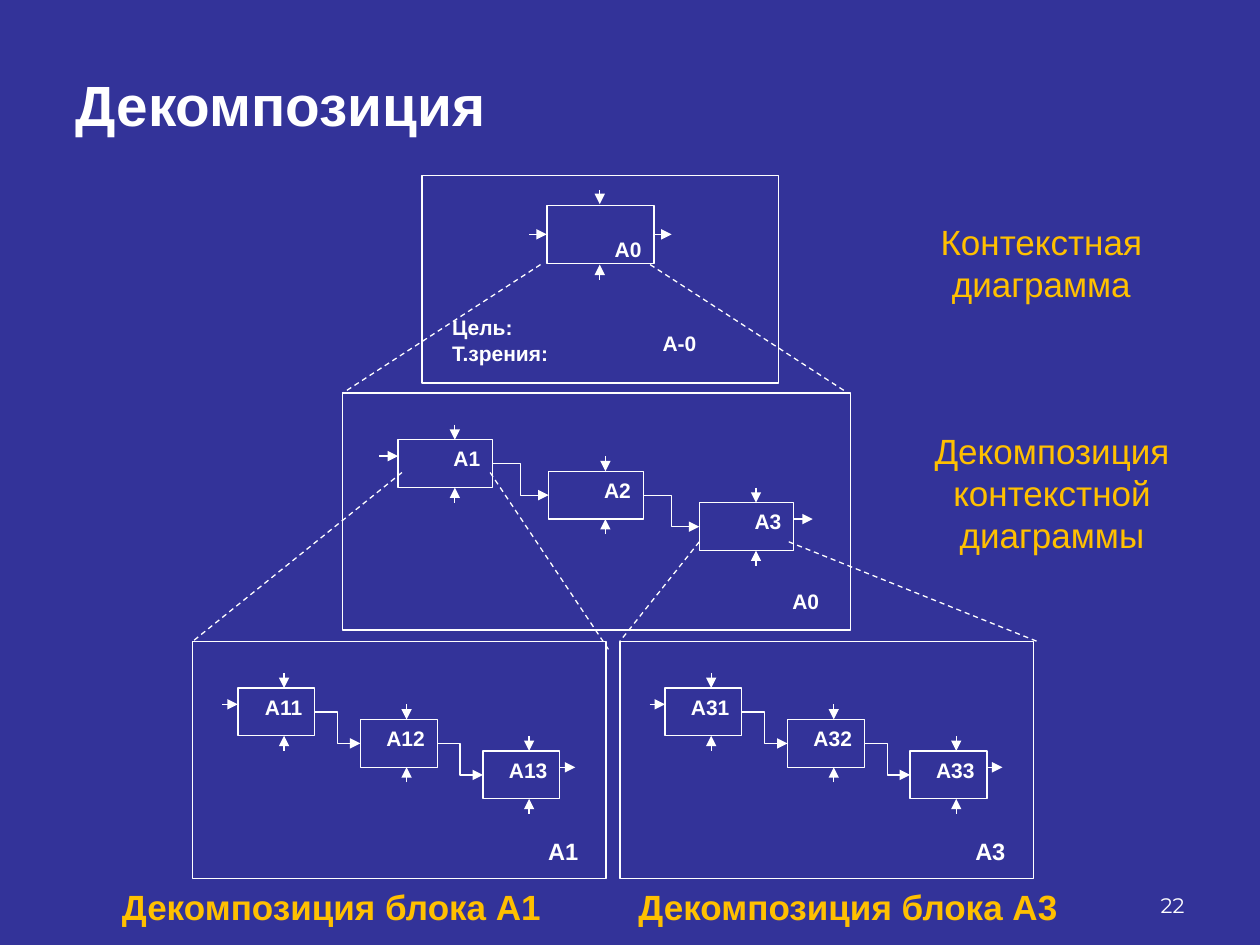
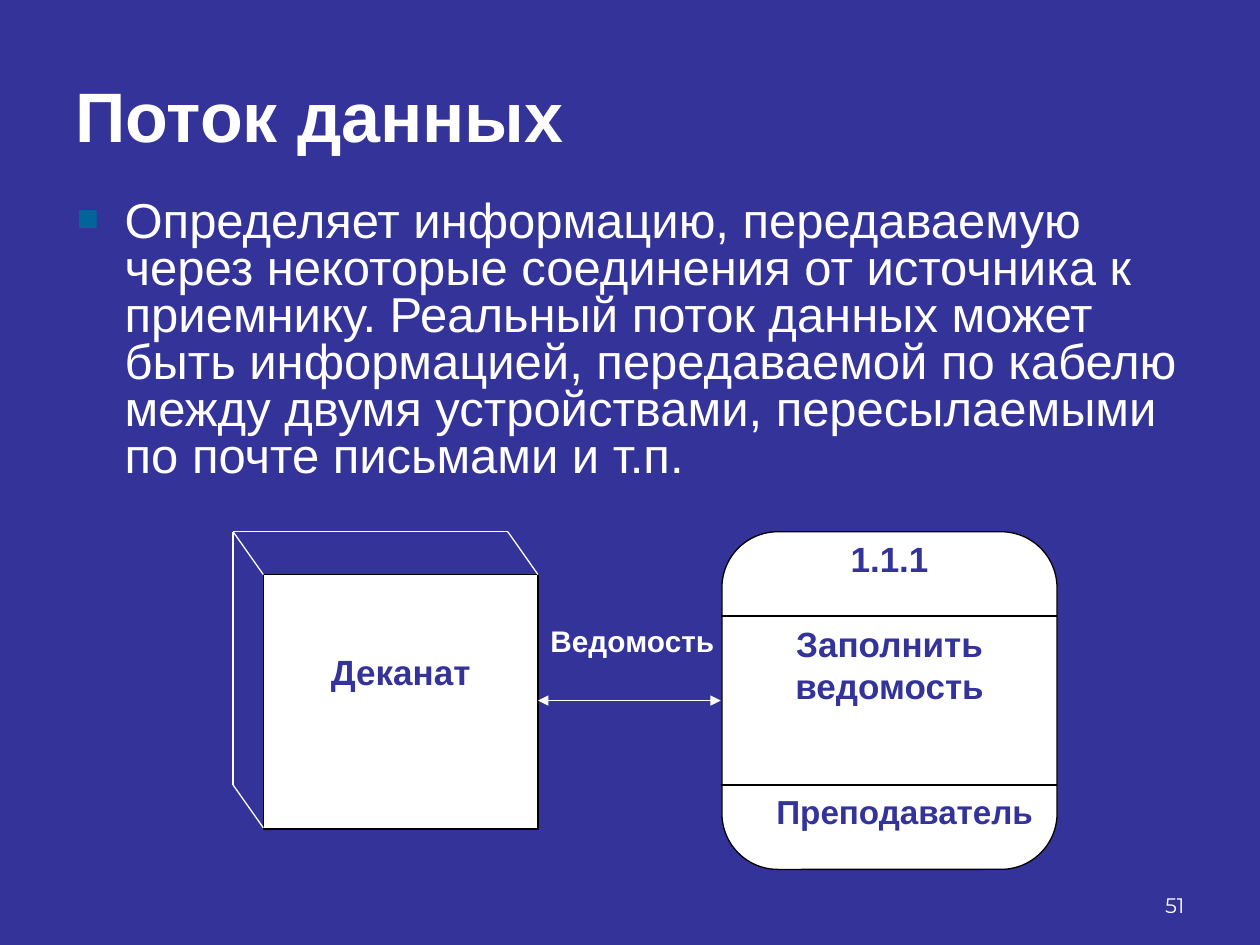
from dataclasses import dataclass
from itertools import pairwise

from lxml.etree import SubElement as Sub
from pptx import Presentation
from pptx.dml.color import RGBColor as Rgb
from pptx.enum.dml import MSO_LINE as Dash
from pptx.enum.shapes import MSO_CONNECTOR as Link, MSO_SHAPE as Shape
from pptx.enum.text import MSO_ANCHOR as Anchor, MSO_AUTO_SIZE as Auto, PP_ALIGN as Align
from pptx.oxml.ns import qn
from pptx.util import Inches, Pt


@dataclass(frozen=True)
class Theme:
    back: str = "333399"
    white: str = "FFFFFF"
    black: str = "000000"
    gold: str = "FFC000"
    teal: str = "006699"
    font: str = "Arial"
    digits: str = "Montserrat"
    line: float = 0.75
    small: float = 12
    mark: float = 13.5
    flow: float = 17
    role: float = 19
    label: float = 20
    body: float = 28
    head: float = 32.4
    big: float = 40


T = Theme()


def color(code):
    return Rgb.from_string(code)


def place(shape, left, top, width, height):
    shape.left, shape.top = Inches(left), Inches(top)
    shape.width, shape.height = Inches(width), Inches(height)


def write(par, text, size, tint=T.white, bold=True, font=T.font):
    run = par.add_run()
    run.text = text
    run.font.name = font
    run.font.size = Pt(size)
    run.font.bold = bold
    run.font.color.rgb = color(tint)


def fill_text(shape, text, size, align=Align.LEFT, anchor=Anchor.TOP, inset=0.05, **style):
    frame = shape.text_frame
    frame.word_wrap = True
    frame.auto_size = Auto.NONE
    frame.vertical_anchor = anchor
    frame.margin_left = frame.margin_right = Inches(0.1)
    frame.margin_top = Inches(inset)
    frame.margin_bottom = Inches(0.05)
    for num, row in enumerate(text.split("\n")):
        par = frame.add_paragraph() if num else frame.paragraphs[0]
        par.alignment = align
        write(par, row, size, **style)


def add_text(slide, area, text, size, **style):
    box = slide.shapes.add_textbox(*map(Inches, area))
    fill_text(box, text, size, **style)


def add_box(slide, area, kind=Shape.RECTANGLE, fill=None, edge=T.white):
    box = slide.shapes.add_shape(kind, *map(Inches, area))
    box.shadow.inherit = False
    if fill:
        box.fill.solid()
        box.fill.fore_color.rgb = color(fill)
    else:
        box.fill.background()
    box.line.color.rgb = color(edge)
    box.line.width = Pt(T.line)
    return box


def add_line(slide, start, end, kind=Link.STRAIGHT, tint=T.white, width=T.line,
             dash=False, heads=()):
    line = slide.shapes.add_connector(kind, *map(Inches, (*start, *end)))
    line.line.color.rgb = color(tint)
    line.line.width = Pt(width)
    if dash:
        line.line.dash_style = Dash.DASH
    props = line.element.spPr
    for head in heads:
        Sub(props.find(qn("a:ln")), qn(f"a:{head}"), type="triangle")
    Sub(props, qn("a:effectLst"))


def add_arrow(slide, start, end, kind=Link.STRAIGHT):
    add_line(slide, start, end, kind, heads=["tailEnd"])


def add_title(slide, text, size, height):
    title = slide.shapes.title
    place(title, 0.5, 0.5, 9, height)
    fill_text(title, text, size, anchor=Anchor.MIDDLE)


def add_page(slide, num):
    add_text(slide, (7.17, 6.83, 2.33, 0.5), num, T.small, align=Align.RIGHT,
             anchor=Anchor.BOTTOM, bold=False, font=T.digits)


def add_list(slide, text):
    body = slide.placeholders[1]
    place(body, 0.51, 1.54, 9, 2.36)
    par = body.text_frame.paragraphs[0]
    props = par._p.get_or_add_pPr()
    props.set("marL", str(Inches(0.38)))
    props.set("indent", str(-Inches(0.38)))
    par.line_spacing = 0.8
    par.space_before = Pt(0)
    Sub(Sub(props, qn("a:buClr")), qn("a:srgbClr"), val=T.teal)
    Sub(props, qn("a:buSzPct"), val="75000")
    Sub(props, qn("a:buFont"), typeface=T.font)
    Sub(props, qn("a:buChar"), char="■")
    fill_text(body, text, T.body, bold=False)


def add_zoom(slide, *rays):
    for start, end in rays:
        add_line(slide, start, end, dash=True)


def add_root(slide):
    add_box(slide, (3.35, 1.39, 2.83, 1.65))
    root = add_box(slide, (4.34, 1.63, 0.85, 0.46))
    fill_text(root, "А0", T.small, align=Align.RIGHT, inset=0.25)
    for start, end in (
        ((4.2, 1.86), (4.34, 1.86)),
        ((4.76, 1.51), (4.76, 1.62)),
        ((5.19, 1.86), (5.33, 1.86)),
        ((4.76, 2.22), (4.76, 2.1)),
    ):
        add_arrow(slide, start, end)
    add_text(slide, (3.49, 2.45, 1.28, 0.47), "Цель:\nТ.зрения:", T.small)
    add_text(slide, (5.16, 2.57, 0.88, 0.35), "А-0", T.small)


def add_stage(slide, left, top, width, names, mark, size):
    unit = width / 4.03
    wide, high, gap = 0.75 * unit, 0.38, 0.15 * unit
    add_box(slide, (left, top, width, 1.88))
    spots = [(left + (0.44 + 1.195 * n) * unit, top + 0.37 + 0.25 * n)
             for n in range(len(names))]
    for name, (x, y) in zip(names, spots):
        box = add_box(slide, (x, y, wide, high))
        fill_text(box, name, T.small, align=Align.RIGHT)
        mid = x + 0.6 * wide
        add_arrow(slide, (mid, y - 0.12), (mid, y))
        add_arrow(slide, (mid, y + high + 0.12), (mid, y + high))
    for (x, y), (far, low) in pairwise(spots):
        add_arrow(slide, (x + wide, y + high / 2), (far, low + high / 2), Link.ELBOW)
    first, last = spots[0][0], spots[-1][0] + wide
    add_arrow(slide, (first - gap, top + 0.5), (first, top + 0.5))
    add_arrow(slide, (last, top + 1), (last + gap, top + 1))
    add_text(slide, (left + width - gap - wide, top + 1.5, wide, 0.25), mark, size,
             align=Align.RIGHT)


def build_tree(slide):
    add_title(slide, "Декомпозиция", T.head, 0.65)
    add_root(slide)
    add_stage(slide, 2.72, 3.12, 4.03, ["А1", "А2", "А3"], "А0", T.small)
    add_zoom(slide, ((4.29, 2.1), (2.72, 3.12)), ((5.16, 2.1), (6.73, 3.12)))
    add_stage(slide, 1.53, 5.09, 3.28, ["А11", "А12", "А13"], "А1", T.mark)
    add_zoom(slide, ((3.19, 3.75), (1.53, 5.09)), ((3.89, 3.75), (4.84, 5.17)))
    add_stage(slide, 4.92, 5.09, 3.28, ["А31", "А32", "А33"], "А3", T.mark)
    add_zoom(slide, ((5.55, 4.3), (4.92, 5.09)), ((6.26, 4.3), (8.23, 5.09)))
    for area, text, bold in (
        ((7.21, 1.7, 2.11, 0.77), "Контекстная диаграмма", False),
        ((6.97, 3.36, 2.76, 1.11), "Декомпозиция контекстной диаграммы", False),
        ((0.42, 6.98, 4.42, 0.44), "Декомпозиция блока А1", True),
        ((4.92, 6.98, 3.62, 0.44), "Декомпозиция блока А3", True),
    ):
        add_text(slide, area, text, T.label, align=Align.CENTER, tint=T.gold, bold=bold)
    add_page(slide, "22")


def add_source(slide):
    front = add_box(slide, (2.09, 4.56, 2.18, 2.02), fill=T.white, edge=T.black)
    fill_text(front, "Деканат", T.label, align=Align.CENTER, inset=0.6, tint=T.back)
    back, right, base = (1.85, 4.22), (4.03, 4.22), (1.85, 6.23)
    for start, end in (
        (back, (2.09, 4.56)),
        (back, right),
        (back, base),
        (base, (2.09, 6.57)),
        (right, (4.27, 4.56)),
    ):
        add_line(slide, start, end)


def add_task(slide):
    card = add_box(slide, (5.73, 4.22, 2.66, 2.68), Shape.ROUNDED_RECTANGLE, T.white, T.black)
    card.adjustments[0] = 0.167
    for y in (4.89, 6.23):
        add_line(slide, (5.72, y), (8.39, y), tint=T.black)
    for area, text, size in (
        ((5.97, 4.22, 2.18, 0.67), "1.1.1", T.label),
        ((5.97, 4.89, 2.18, 1.34), "Заполнить ведомость", T.label),
        ((5.97, 6.23, 2.42, 0.67), "Преподаватель", T.role),
    ):
        add_text(slide, area, text, size, align=Align.CENTER, tint=T.back)


def build_flow(slide):
    add_title(slide, "Поток данных", T.big, 0.81)
    add_list(slide, "Определяет информацию, передаваемую через некоторые соединения "
                    "от источника к приемнику. Реальный поток данных может быть "
                    "информацией, передаваемой по кабелю между двумя устройствами, "
                    "пересылаемыми по почте письмами и т.п.")
    add_task(slide)
    add_source(slide)
    add_line(slide, (4.27, 5.56), (5.72, 5.56), width=1, heads=["headEnd", "tailEnd"])
    add_text(slide, (4.27, 4.89, 1.69, 0.67), "Ведомость", T.flow)
    add_page(slide, "51")


def main():
    deck = Presentation()
    deck.slide_width, deck.slide_height = Inches(10), Inches(7.5)
    fill = deck.slide_master.background.fill
    fill.solid()
    fill.fore_color.rgb = color(T.back)
    for layout, build in ((5, build_tree), (1, build_flow)):
        build(deck.slides.add_slide(deck.slide_layouts[layout]))
    deck.save("out.pptx")


if __name__ == "__main__":
    main()
